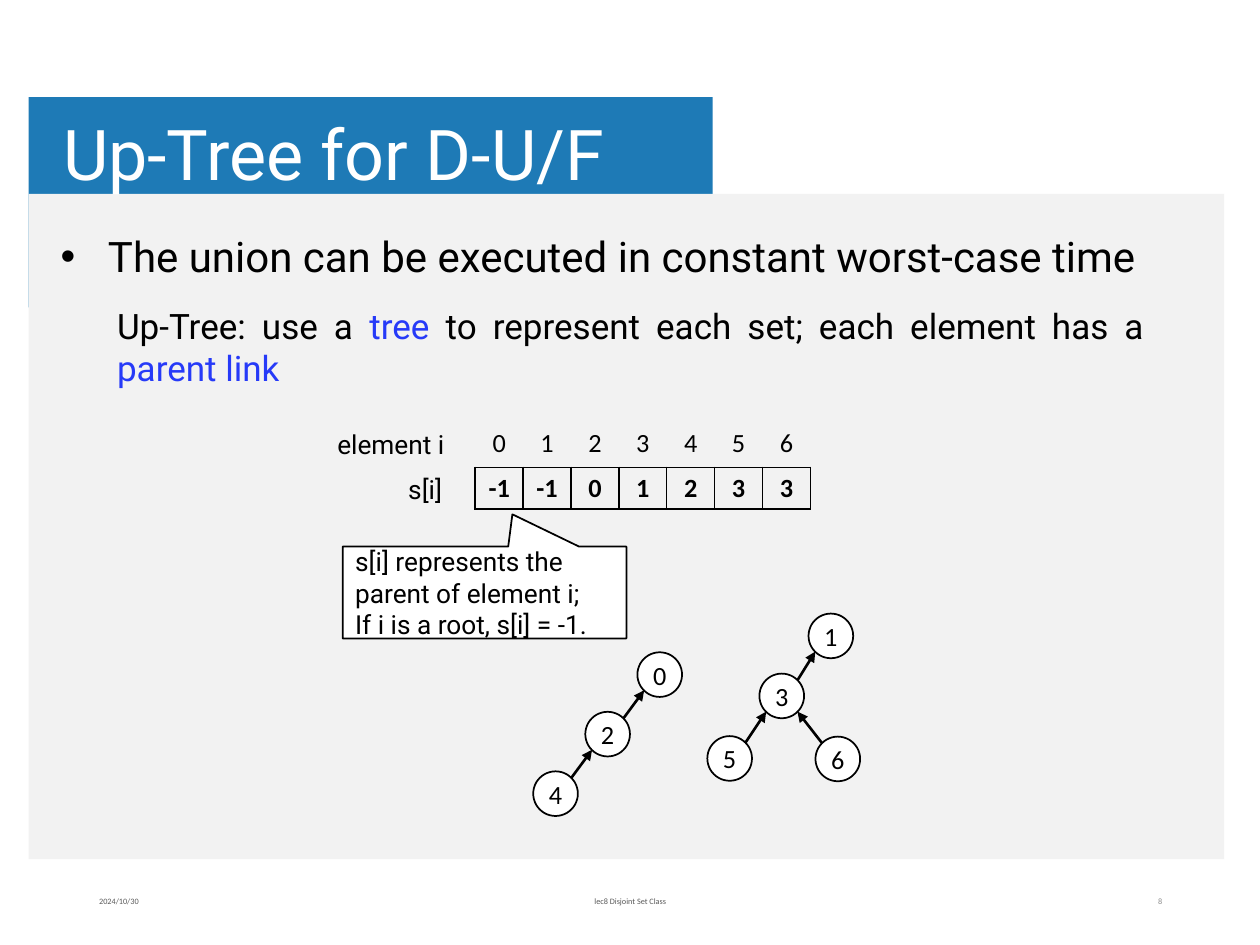
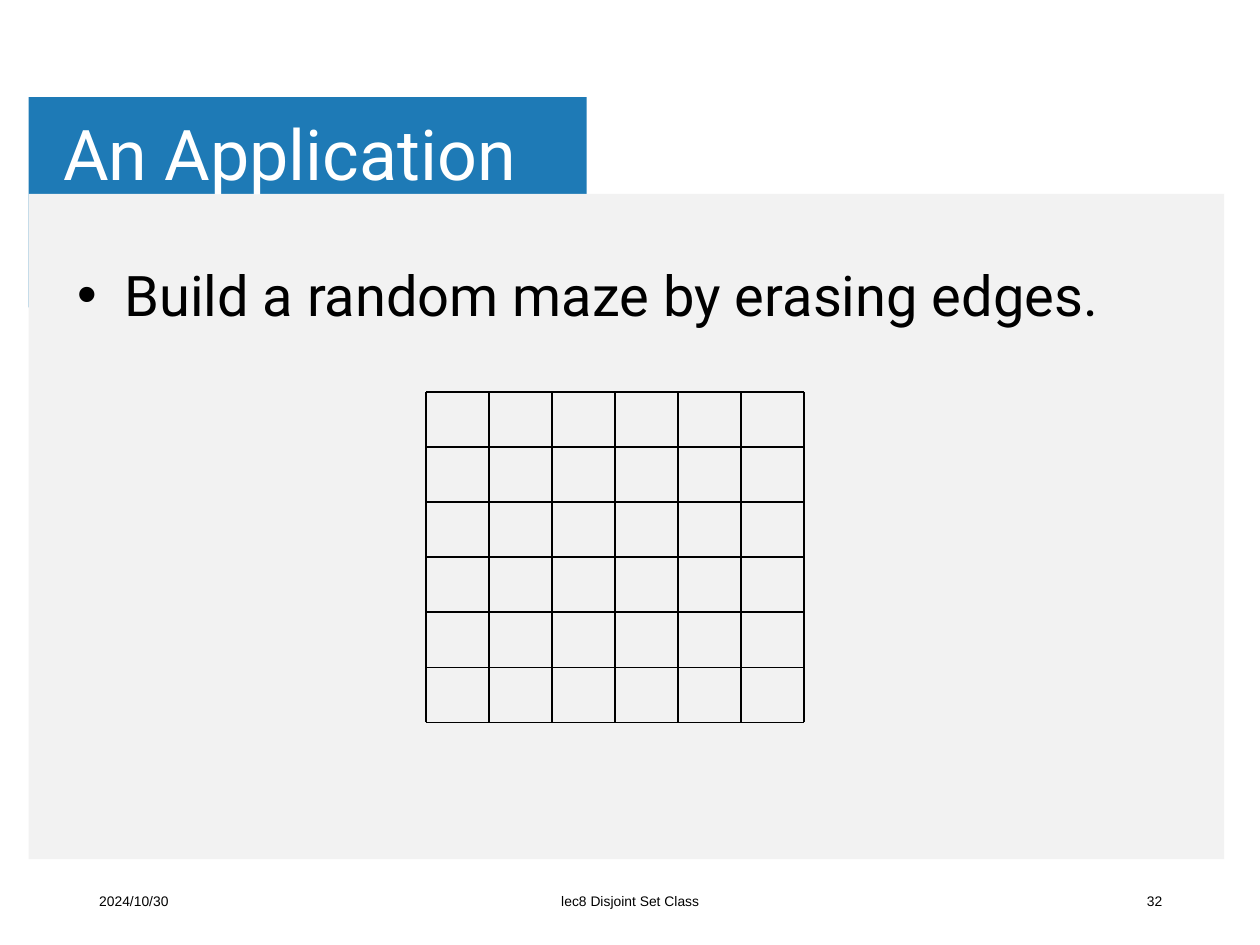
from dataclasses import dataclass

from lxml import etree
from pptx import Presentation
from pptx.dml.color import RGBColor
from pptx.enum.shapes import MSO_CONNECTOR, MSO_SHAPE
from pptx.enum.text import MSO_ANCHOR, MSO_AUTO_SIZE, PP_ALIGN
from pptx.oxml.ns import qn
from pptx.util import Cm, Pt

LEFT, CENTER, RIGHT, JUSTIFY = (
    PP_ALIGN.LEFT, PP_ALIGN.CENTER, PP_ALIGN.RIGHT, PP_ALIGN.JUSTIFY)
TOP, MIDDLE = MSO_ANCHOR.TOP, MSO_ANCHOR.MIDDLE
RECTANGLE, OVAL = MSO_SHAPE.RECTANGLE, MSO_SHAPE.OVAL
CALLOUT = MSO_SHAPE.RECTANGULAR_CALLOUT
STRAIGHT = MSO_CONNECTOR.STRAIGHT
FIXED_SIZE = MSO_AUTO_SIZE.NONE


@dataclass(frozen=True)
class Theme:
    band = RGBColor(0x1E, 0x7A, 0xB6)
    panel = RGBColor(0xF2, 0xF2, 0xF2)
    ink = RGBColor(0, 0, 0)
    paper = RGBColor(0xFF, 0xFF, 0xFF)
    accent = RGBColor(0x26, 0x3A, 0xF8)
    footer_grey = RGBColor(0x59, 0x59, 0x59)
    number_grey = RGBColor(0x8C, 0x8C, 0x8C)
    text_font = "Roboto"
    figure_font = "Calibri"
    footer_font = "Arial"
    title_size = 40
    sentence_size = 20
    figure_size = 15


theme = Theme()


def write(frame, text, size=theme.figure_size, font=theme.text_font,
          color=theme.ink, align=LEFT, anchor=TOP, wrap=True):
    """Fill a text frame, one paragraph per line of text."""
    frame.text = text
    frame.word_wrap = wrap
    frame.vertical_anchor = anchor
    for para in frame.paragraphs:
        para.alignment = align
        para.font.size = Pt(size)
        para.font.name = font
        para.font.color.rgb = color


def add_line(shapes, start, end, width):
    """Join two (x, y) points given in centimetres."""
    line = shapes.add_connector(
        STRAIGHT, Cm(start[0]), Cm(start[1]), Cm(end[0]), Cm(end[1]))
    line.line.color.rgb = theme.ink
    line.line.width = Pt(width)
    etree.SubElement(line._element.spPr, qn("a:effectLst"))
    return line


deck = Presentation()
deck.slide_width, deck.slide_height = Cm(25.4), Cm(19.05)

# What both slides share: bands, title, bullet and footer
pages = [
    dict(title="Up-Tree for D-U/F", band_width=13.79,
         bullet="The union can be executed in constant worst-case time",
         bullet_size=24, bullet_place=(0.97, 4.52, 23.27, 1.37),
         number="8", footer_size=4.7, footer_font=theme.figure_font,
         footer_color=theme.footer_grey, number_color=theme.number_grey),
    dict(title="An Application", band_width=11.25,
         bullet="Build a random maze by erasing edges.",
         bullet_size=32, bullet_place=(1.3, 5.13, 22.45, 2.26),
         number="32", footer_size=7.9, footer_font=theme.footer_font,
         footer_color=theme.ink, number_color=theme.ink),
]
slides = []
for page in pages:
    slide = deck.slides.add_slide(deck.slide_layouts[1])
    slides.append(slide)
    bands = [(1.96, page["band_width"], 4.24, theme.band),
             (3.91, 24.1, 13.41, theme.panel)]
    for depth, (top, width, height, color) in enumerate(bands):
        band = slide.shapes.add_shape(
            RECTANGLE, Cm(0.58), Cm(top), Cm(width), Cm(height))
        band.shadow.inherit = False
        band.fill.solid()
        band.fill.fore_color.rgb = color
        band.line.fill.background()
        slide.shapes._spTree.insert(2 + depth, band._element)

    title = slide.shapes.title
    title.left, title.top, title.width, title.height = (
        Cm(1.09), Cm(1.93), Cm(20.4), Cm(2.49))
    frame = title.text_frame
    write(frame, page["title"], theme.title_size, color=theme.paper,
          anchor=MIDDLE)
    frame.auto_size = FIXED_SIZE
    frame.margin_left = frame.margin_right = Cm(0.18)
    frame.margin_top = frame.margin_bottom = Cm(0.1)
    frame.paragraphs[0].line_spacing = 0.9

    body = slide.placeholders[1]
    body.left, body.top, body.width, body.height = map(
        Cm, page["bullet_place"])
    frame = body.text_frame
    frame.text = page["bullet"]
    para = frame.paragraphs[0]
    properties = para._p.get_or_add_pPr()
    properties.set("marL", str(Cm(0.48)))
    properties.set("indent", str(-Cm(0.48)))
    etree.SubElement(properties, qn("a:buChar"), char="•")
    write(frame, page["bullet"], page["bullet_size"])
    frame.auto_size = FIXED_SIZE
    para.line_spacing = 0.9
    para.space_before = Pt(0)

    footers = [
        (1.75, 5.72, "2024/10/30", LEFT, page["footer_color"]),
        (8.41, 8.59, "lec8 Disjoint Set Class", CENTER, page["footer_color"]),
        (17.96, 5.72, page["number"], RIGHT, page["number_color"]),
    ]
    for left, width, text, align, color in footers:
        box = slide.shapes.add_textbox(
            Cm(left), Cm(17.65), Cm(width), Cm(1.02))
        write(box.text_frame, text, page["footer_size"],
              page["footer_font"], color, align, MIDDLE)

tree_slide, maze_slide = slides

# Slide 1: the sentence with coloured terms
box = tree_slide.shapes.add_textbox(Cm(2.11), Cm(6.02), Cm(21.21), Cm(1.96))
box.text_frame.word_wrap = True
para = box.text_frame.paragraphs[0]
para.alignment = JUSTIFY
para.font.size = Pt(theme.sentence_size)
para.font.name = theme.text_font
for text, color in [("Up-Tree: use a ", theme.ink),
                    ("tree", theme.accent),
                    (" to represent each set; each element has a ", theme.ink),
                    ("parent link", theme.accent)]:
    span = para.add_run()
    span.text = text
    span.font.color.rgb = color

# Slide 1: the element row and the parent row
parents = [-1, -1, 0, 1, 2, 3, 3]
table_rows = [(8.51, range(len(parents)), False), (9.42, parents, True)]
for top, values, is_parent_row in table_rows:
    table = tree_slide.shapes.add_table(
        1, len(parents), Cm(9.58), Cm(top), Cm(6.76), Cm(0.84)).table
    table.first_row = table.horz_banding = False
    table.rows[0].height = Cm(0.84)
    for column, value in enumerate(values):
        table.columns[column].width = Cm(6.76 / len(parents))
        cell = table.cell(0, column)
        cell.margin_left = cell.margin_right = Cm(0.18)
        cell.margin_top = cell.margin_bottom = Cm(0.1)
        write(cell.text_frame, str(value), font=theme.figure_font,
              align=CENTER)
        cell.text_frame.paragraphs[0].font.bold = is_parent_row
        for side in ("a:lnL", "a:lnR", "a:lnT", "a:lnB"):
            border = etree.SubElement(
                cell._tc.get_or_add_tcPr(), qn(side), w=str(Pt(1)))
            if is_parent_row:
                paint = etree.SubElement(border, qn("a:solidFill"))
                etree.SubElement(paint, qn("a:srgbClr"), val=str(theme.ink))
            else:
                etree.SubElement(border, qn("a:noFill"))
        cell.fill.background()

for left, top, width, text in [(6.55, 8.51, 2.82, "element i"),
                               (7.98, 9.42, 1.37, "s[i]")]:
    label = tree_slide.shapes.add_textbox(
        Cm(left), Cm(top), Cm(width), Cm(0.89))
    write(label.text_frame, text, wrap=False)

# Slide 1: the callout and the nodes of both trees
diameter = 0.9
node_centers = [(13.3, 13.6), (16.75, 12.82), (12.25, 14.8), (15.76, 14.03),
                (11.2, 16), (14.71, 15.29), (16.89, 15.3)]
outlined = [(CALLOUT, 6.91, 11.02, 5.72, 1.85,
             "s[i] represents the parent of element i;\n"
             "If i is a root, s[i] = -1.")]
for element, (x, y) in enumerate(node_centers):
    outlined.append((OVAL, x - diameter / 2, y - diameter / 2,
                     diameter, diameter, str(element)))
for kind, left, top, width, height, text in outlined:
    shape = tree_slide.shapes.add_shape(
        kind, Cm(left), Cm(top), Cm(width), Cm(height))
    shape.shadow.inherit = False
    shape.fill.solid()
    shape.fill.fore_color.rgb = theme.paper
    shape.line.color.rgb = theme.ink
    shape.line.width = Pt(1)
    if kind == CALLOUT:
        shape.adjustments[0], shape.adjustments[1] = 0.098, -0.852
        write(shape.text_frame, text, anchor=MIDDLE)
    else:
        write(shape.text_frame, text, font=theme.figure_font,
              align=CENTER, anchor=MIDDLE, wrap=False)

# Slide 1: parent links, from rim to rim along the diagonals
# (the tree drawn on the slide hangs 2 and 3 below 0 and 1)
rim = diameter * 0.35
for child, parent in [(2, 0), (4, 2), (3, 1), (5, 3), (6, 3)]:
    child_x, child_y = node_centers[child]
    parent_x, parent_y = node_centers[parent]
    shift = rim if parent_x > child_x else -rim
    link = add_line(tree_slide.shapes, (child_x + shift, child_y - rim),
                    (parent_x - shift, parent_y + rim), 1.5)
    etree.SubElement(link.line._get_or_add_ln(), qn("a:tailEnd"),
                     type="triangle")

# Slide 2: each maze cell owns its top and right wall
cells = 6
maze_left, maze_top, cell_width, cell_height = 8.59, 7.9, 1.27, 1.11
maze_right = maze_left + cells * cell_width
maze_bottom = maze_top + cells * cell_height
for row in range(cells):
    for column in range(cells):
        x = maze_left + column * cell_width
        y = maze_top + row * cell_height
        corner = (x + cell_width, y)
        walls = maze_slide.shapes.add_group_shape().shapes
        add_line(walls, (x, y), corner, 0.75)
        add_line(walls, corner, (x + cell_width, y + cell_height), 0.75)
add_line(maze_slide.shapes, (maze_right, maze_bottom),
         (maze_left, maze_bottom), 0.75)
add_line(maze_slide.shapes, (maze_left, maze_bottom),
         (maze_left, maze_top), 0.75)

deck.save("out.pptx")
